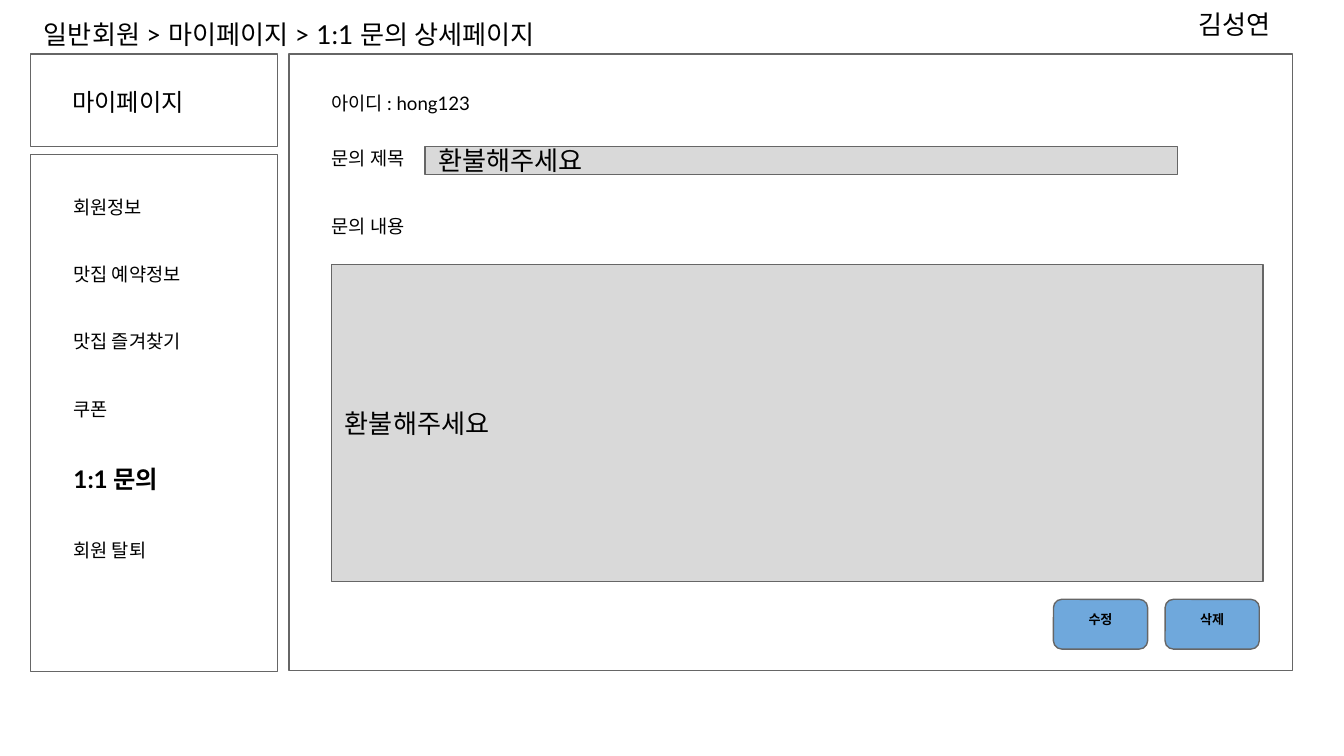
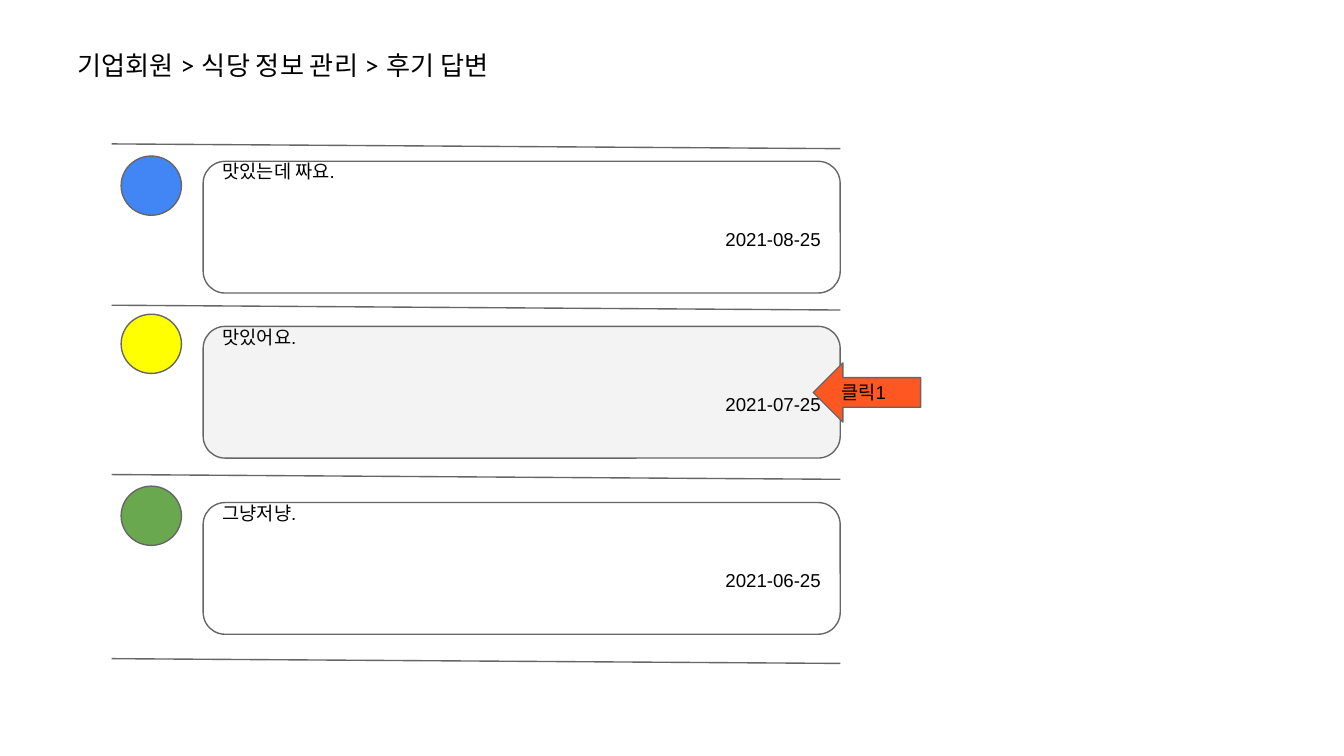
from pptx import Presentation
from pptx.dml.color import RGBColor
from pptx.enum.shapes import MSO_CONNECTOR, MSO_SHAPE as Shape
from pptx.enum.text import MSO_ANCHOR as Anchor, PP_ALIGN as Align
from pptx.oxml.ns import qn
from pptx.util import Cm, Pt
from lxml.etree import SubElement

# Shared look
COLORS = {
    "white": "FFFFFF", "black": "000000", "outline": "666666", "field": "D9D9D9",
    "button": "6FA8DC", "selected": "F3F3F3", "click": "FF5722",
    "blue": "4285F4", "yellow": "FFFF00", "green": "6AA84F",
}
INSET = 0.25
CRUMB = {"size": Pt(14), "name": "Lato"}
HEADING = {"size": Pt(13), "name": "Lato"}
LABEL = {"size": Pt(10), "name": "Lato"}
ACTIVE = {"size": Pt(13), "name": "Lato", "bold": True}
BUTTON = {"size": Pt(7), "name": "Lato", "bold": True}
ANSWER = {"size": Pt(14), "name": "Arial"}
REVIEW = {"size": Pt(10), "name": "Arial"}

# Inquiry page: places are left, top, width, height in cm
INQUIRY_CRUMB = "일반회원 > 마이페이지 > 1:1 문의 상세페이지"
AUTHOR = "김성연"
PANELS = [(5.46, 1.02, 18.97, 11.66), (0.58, 1.02, 4.67, 1.75), (0.58, 2.92, 4.67, 9.78)]
MENU_TITLE = "마이페이지"
MENU = [
    ("회원정보", LABEL), ("맛집 예약정보", LABEL), ("맛집 즐겨찾기", LABEL),
    ("쿠폰", LABEL), ("1:1 문의", ACTIVE), ("회원 탈퇴", LABEL),
]
FIELD_LABELS = [("아이디 : hong123", 1.52), ("문의 제목", 2.57), ("문의 내용", 3.84)]
ANSWERS = [("환불해주세요", (6.27, 5, 17.6, 5.99)), ("환불해주세요", (8.03, 2.77, 14.22, 0.53))]
BUTTONS = [("수정", 19.91), ("삭제", 22.02)]

# Review page: text, date, bubble colour and top, avatar colour and top
REVIEW_CRUMB = "기업회원 > 식당 정보 관리 > 후기 답변"
REVIEWS = [
    ("맛있는데 짜요.", "2021-08-25", "white", 3.05, "blue", 2.95),
    ("맛있어요.", "2021-07-25", "selected", 6.17, "yellow", 5.94),
    ("그냥저냥.", "2021-06-25", "white", 9.5, "green", 9.19),
]
DIVIDER_TOPS = [2.72, 5.77, 8.97, 12.45]
DIVIDER_LEFT, DIVIDER_RIGHT, DIVIDER_DROP = 2.11, 15.88, 0.09
CLICK = "클릭1"


def color(name):
    return RGBColor.from_string(COLORS[name])


def write(shape, lines, anchor=Anchor.TOP, top_inset=INSET, gap=0):
    """Fill a shape with (text, font format, alignment) lines."""
    frame = shape.text_frame
    settings = {
        "word_wrap": True, "vertical_anchor": anchor,
        "margin_left": Cm(INSET), "margin_right": Cm(INSET),
        "margin_top": Cm(top_inset), "margin_bottom": Cm(INSET),
    }
    for key, value in settings.items():
        setattr(frame, key, value)
    for index, (text, font_format, align) in enumerate(lines):
        paragraph = frame.add_paragraph() if index else frame.paragraphs[0]
        paragraph.alignment = align
        if index:
            paragraph.space_before = Pt(gap)
        run = paragraph.add_run()
        run.text = text
        for key, value in font_format.items():
            setattr(run.font, key, value)
        run.font.color.rgb = color("black")


def add_text(slide, place, text, font_format, align=Align.LEFT):
    write(slide.shapes.add_textbox(*map(Cm, place)), [(text, font_format, align)])


def add_box(slide, kind, place, fill):
    shape = slide.shapes.add_shape(kind, *map(Cm, place))
    shape.shadow.inherit = False
    shape.fill.solid()
    shape.fill.fore_color.rgb = color(fill)
    shape.line.color.rgb = color("outline")
    shape.line.width = Pt(0.75)
    return shape


def add_divider(slide, top):
    divider = slide.shapes.add_connector(
        MSO_CONNECTOR.STRAIGHT, Cm(DIVIDER_LEFT), Cm(top),
        Cm(DIVIDER_RIGHT), Cm(top + DIVIDER_DROP))
    divider.line.color.rgb = color("outline")
    divider.line.width = Pt(0.75)
    SubElement(divider.element.spPr, qn("a:effectLst"))


def build_inquiry(slide):
    for place in PANELS:
        add_box(slide, Shape.RECTANGLE, place, "white")
    add_text(slide, (0.58, 0.1, 13.89, 1.12), INQUIRY_CRUMB, CRUMB)
    add_text(slide, (22.4, -0.1, 2.31, 1.12), AUTHOR, CRUMB)

    # Side menu
    add_text(slide, (1.12, 1.4, 3.61, 1.07), MENU_TITLE, HEADING)
    menu = slide.shapes.add_textbox(Cm(1.14), Cm(3.45), Cm(3.61), Cm(7.49))
    write(menu, [(text, style, Align.LEFT) for text, style in MENU], gap=24)

    # Form
    for text, top in FIELD_LABELS:
        add_text(slide, (6.02, top, 13.72, 0.94), text, LABEL)
    for text, place in ANSWERS:
        field = add_box(slide, Shape.RECTANGLE, place, "field")
        write(field, [(text, ANSWER, Align.LEFT)], Anchor.MIDDLE)
    for text, left in BUTTONS:
        add_box(slide, Shape.ROUNDED_RECTANGLE, (left, 11.33, 1.78, 0.94), "button")
        add_text(slide, (left - 0.19, 11.4, 2.16, 0.81), text, BUTTON, Align.CENTER)


def build_reviews(slide):
    add_text(slide, (1.22, 0.69, 9.19, 1.12), REVIEW_CRUMB, CRUMB)
    for top in DIVIDER_TOPS:
        add_divider(slide, top)
    for text, date, fill, top, avatar, avatar_top in REVIEWS:
        add_box(slide, Shape.OVAL, (2.29, avatar_top, 1.14, 1.12), avatar)
        bubble = add_box(slide, Shape.ROUNDED_RECTANGLE, (3.84, top, 12.04, 2.49), fill)
        write(bubble, [(text, REVIEW, Align.LEFT), (date, REVIEW, Align.RIGHT)],
              top_inset=-0.14, gap=24)
    arrow = add_box(slide, Shape.LEFT_ARROW, (15.37, 6.86, 2.03, 1.12), "click")
    write(arrow, [(CLICK, REVIEW, Align.LEFT)], Anchor.MIDDLE)


def main():
    presentation = Presentation()
    presentation.slide_width, presentation.slide_height = Cm(25.4), Cm(14.29)
    for build in (build_inquiry, build_reviews):
        build(presentation.slides.add_slide(presentation.slide_layouts[6]))
    presentation.save("out.pptx")


if __name__ == "__main__":
    main()
